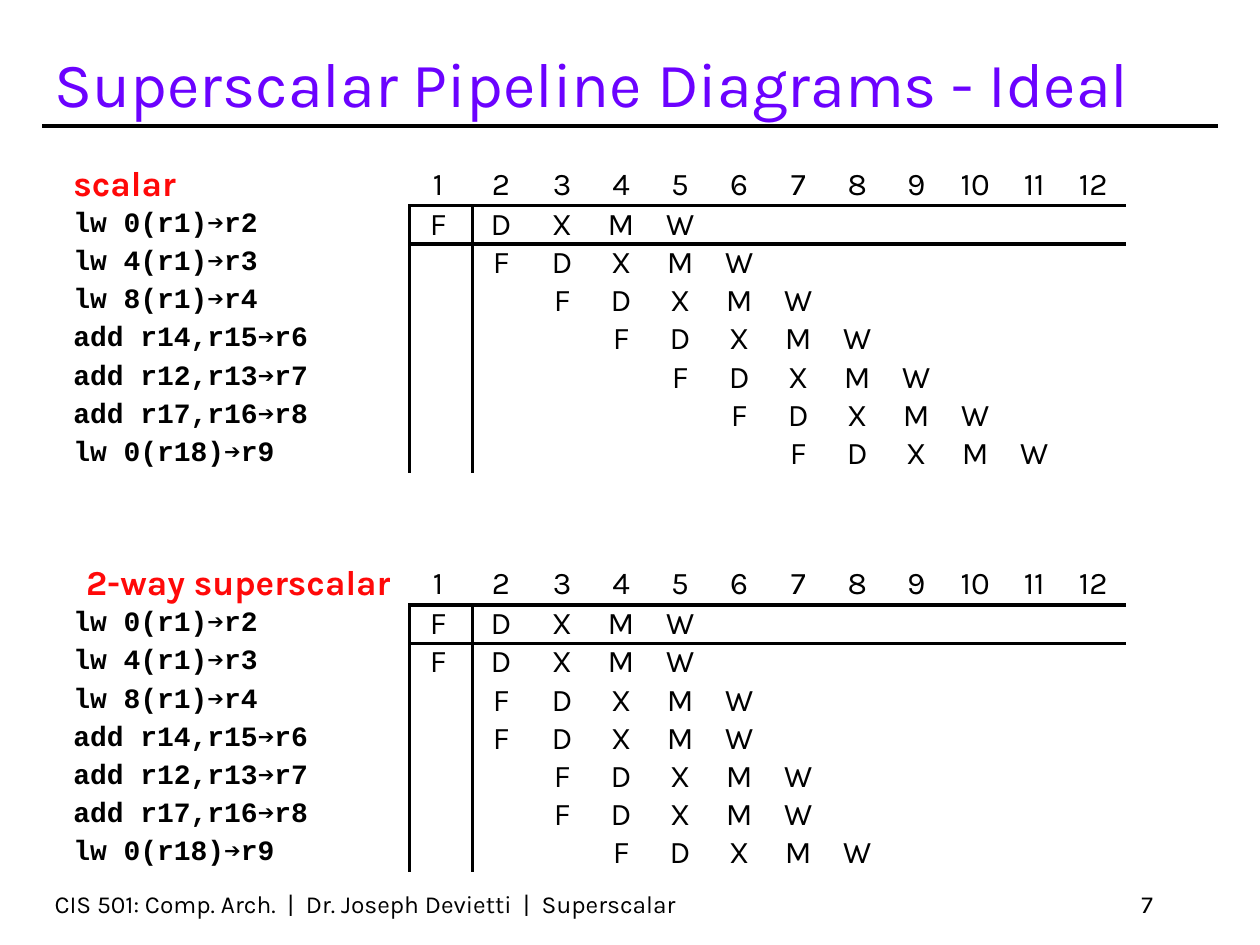
"""Build the slide comparing scalar and 2-way superscalar pipeline diagrams."""
from lxml import etree
from pptx import Presentation
from pptx.dml.color import RGBColor
from pptx.enum.shapes import MSO_CONNECTOR
from pptx.enum.text import MSO_ANCHOR, PP_ALIGN
from pptx.oxml.ns import qn
from pptx.util import Cm, Pt

LEFT, CENTER, RIGHT = PP_ALIGN.LEFT, PP_ALIGN.CENTER, PP_ALIGN.RIGHT
BOTTOM, MIDDLE = MSO_ANCHOR.BOTTOM, MSO_ANCHOR.MIDDLE
STRAIGHT = MSO_CONNECTOR.STRAIGHT

COLORS = {"ink": "000000", "title": "6B02FF", "heading": "FF0909"}
SANS, MONO = "Karla", "Courier New"
RULE = Pt(2.25)
NO_STYLE = "{2D5ABB26-0587-4C30-8999-92F81FD0307C}"

TEXTS = [
    ("CIS 501: Comp. Arch.  |  Dr. Joseph Devietti  |  Superscalar",
     (0.85, 17.78, 15.88, 0.85), LEFT, 14, "ink"),
    ("7", (18.2, 17.78, 5.29, 0.85), RIGHT, 14, "ink"),
    ("Superscalar Pipeline Diagrams - Ideal",
     (0.85, 0.64, 22.23, 1.9), LEFT, 36, "title"),
]
INSTRUCTIONS = ["lw 0(r1)➔r2", "lw 4(r1)➔r3", "lw 8(r1)➔r4", "add r14,r15➔r6",
                "add r12,r13➔r7", "add r17,r16➔r8", "lw 0(r18)➔r9"]
STAGES = "FDXMW"
CYCLES = 12
PIPELINES = [("scalar", LEFT, 1, 3.3), ("2-way superscalar", CENTER, 2, 11.35)]
TABLE_LEFT = 1.48
COLUMNS = [6.78] + [1.27] * 2 + [1.19] * 10
ROWS = [0.83] + [0.77] * len(INSTRUCTIONS)


def write(tf, text, align, size, color="ink", font=SANS, bold=False):
    tf.text = text
    p = tf.paragraphs[0]
    p.alignment = align
    for r in p.runs:
        r.font.name, r.font.size, r.font.bold = font, Pt(size), bold
        r.font.color.rgb = RGBColor.from_string(COLORS[color])


def add_border(cell, side):
    tc_pr = cell._tc.get_or_add_tcPr()
    ln = etree.SubElement(tc_pr, qn(f"a:ln{side}"), w=str(RULE))
    fill = etree.SubElement(ln, qn("a:solidFill"))
    etree.SubElement(fill, qn("a:srgbClr"), val=COLORS["ink"])


def cell_text(row, col, width):
    if row == 0:
        return str(col)
    stage = col - 1 - (row - 1) // width
    return STAGES[stage] if 0 <= stage < len(STAGES) else ""


def cell_borders(row, col):
    sides = {"L": row > 0 and col == 1, "R": row > 0 and col == 0,
             "T": row == 1 and col > 0, "B": row == 0 and col > 0}
    return [side for side, drawn in sides.items() if drawn]


def add_pipeline(s, heading, heading_align, width, top):
    frame = s.shapes.add_table(len(ROWS), CYCLES + 1, Cm(TABLE_LEFT), Cm(top),
                               Cm(sum(COLUMNS)), Cm(sum(ROWS)))
    table = frame.table
    table.first_row = table.horz_banding = False
    table._tbl.tblPr.find(qn("a:tableStyleId")).text = NO_STYLE
    for column, size in zip(table.columns, COLUMNS):
        column.width = Cm(size)
    for row, size in enumerate(ROWS):
        table.rows[row].height = Cm(size)
        for col in range(CYCLES + 1):
            cell = table.cell(row, col)
            cell.margin_left = cell.margin_top = cell.margin_bottom = 0
            cell.margin_right = Cm(0.13)
            cell.vertical_anchor = MIDDLE
            for side in cell_borders(row, col):
                add_border(cell, side)
            cell.fill.background()
            tf = cell.text_frame
            if col:
                text = cell_text(row, col, width)
                write(tf, text, CENTER, 18)
                if not text:
                    etree.SubElement(tf.paragraphs[0]._p, qn("a:endParaRPr"), sz="1600")
            elif row:
                write(tf, INSTRUCTIONS[row - 1], LEFT, 16, font=MONO, bold=True)
            else:
                write(tf, heading, heading_align, 20, "heading", bold=True)


def main():
    prs = Presentation()
    prs.slide_width, prs.slide_height = Cm(25.4), Cm(19.05)
    s = prs.slides.add_slide(prs.slide_layouts[6])
    line = s.shapes.add_connector(STRAIGHT, Cm(0.85), Cm(2.54), Cm(24.55), Cm(2.54))
    line.line.color.rgb = RGBColor.from_string(COLORS["ink"])
    line.line.width = RULE
    etree.SubElement(line._element.spPr, qn("a:effectLst"))
    for text, box, align, size, color in TEXTS:
        tf = s.shapes.add_textbox(*map(Cm, box)).text_frame
        tf.word_wrap = True
        tf.vertical_anchor = BOTTOM
        write(tf, text, align, size, color)
    for pipeline in PIPELINES:
        add_pipeline(s, *pipeline)
    prs.save("out.pptx")


if __name__ == "__main__":
    main()
